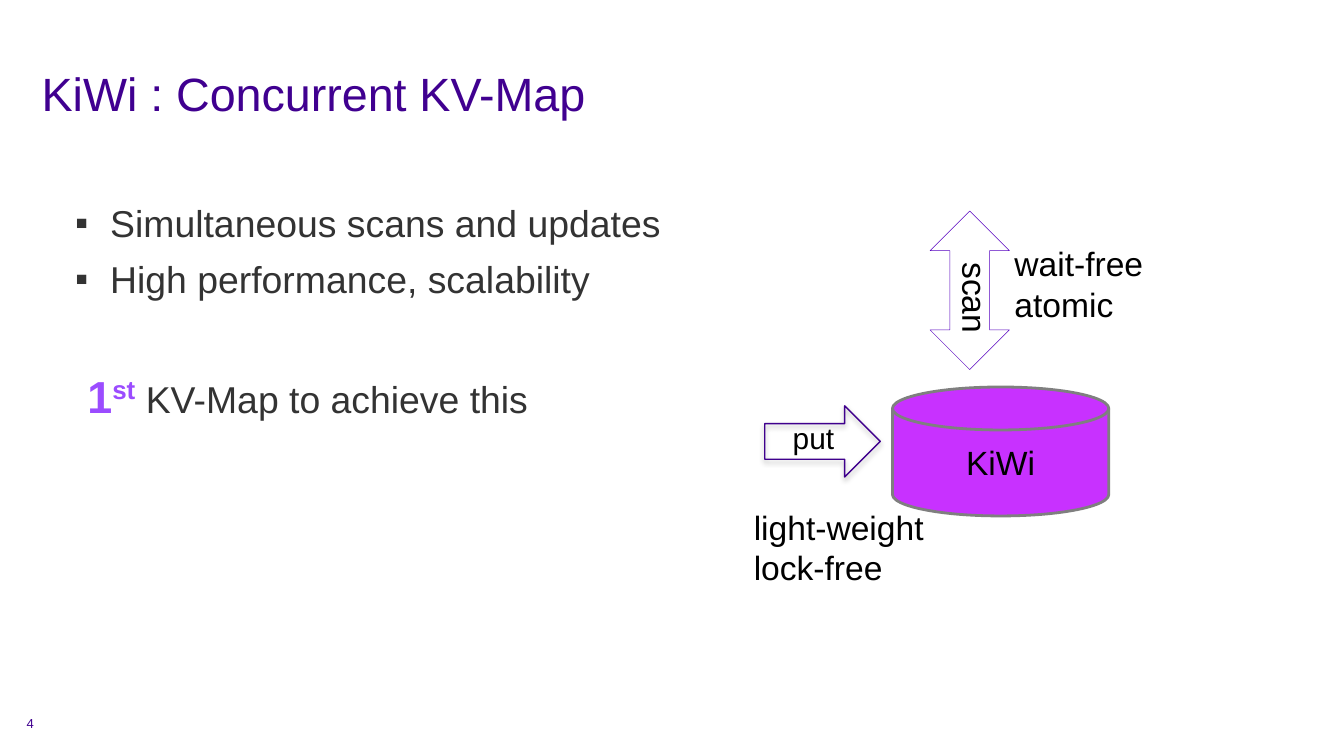
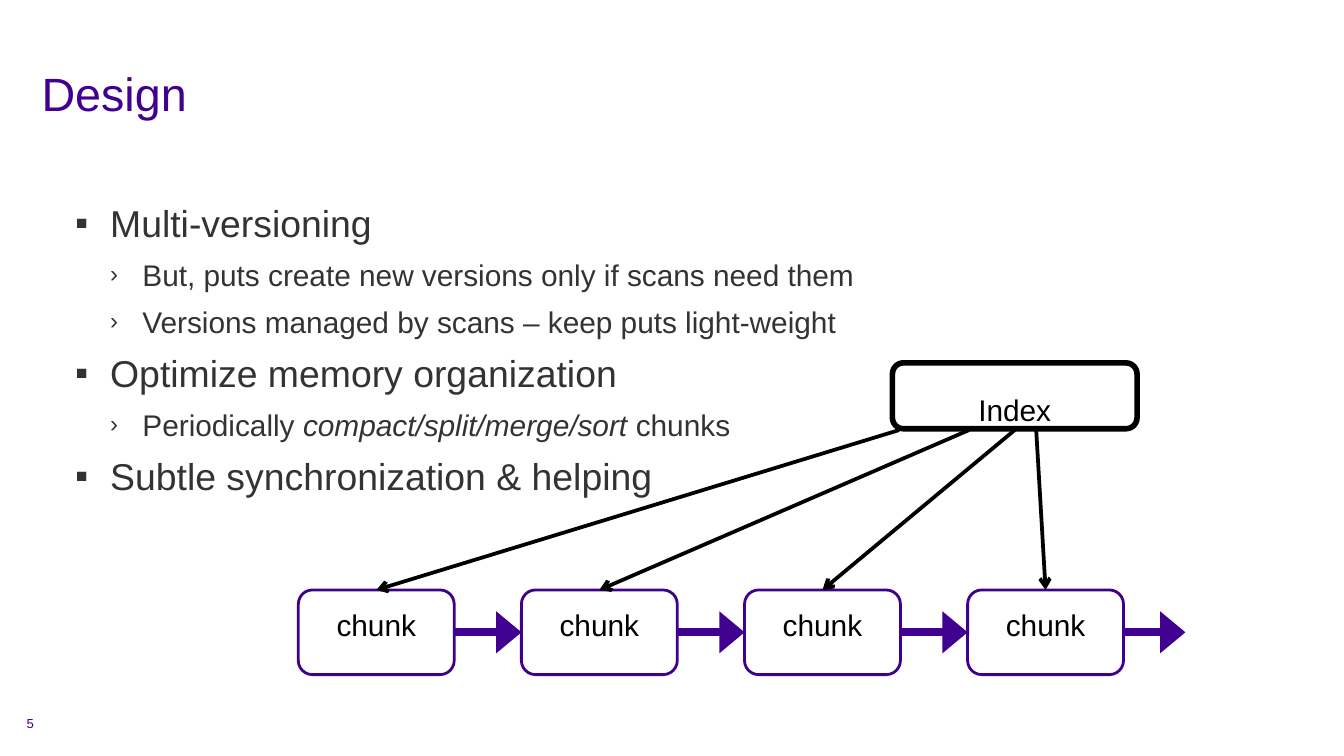
from lxml.etree import SubElement
from pptx import Presentation
from pptx.dml.color import RGBColor
from pptx.enum.shapes import MSO_CONNECTOR, MSO_SHAPE
from pptx.enum.text import MSO_ANCHOR, PP_ALIGN
from pptx.oxml.ns import qn
from pptx.util import Inches, Pt

COLORS = {
    "title": "400090", "body": "333333", "black": "000000", "accent": "9B4CFF",
    "store": "C831FF", "store_line": "7F7F7F", "outline": "3F008D", "scan": "5600BF",
}
FONT = "Arial"
PADDING = (0.1, 0.05, 0.1, 0.05)
# Bullet levels: character, text size, left margin, hanging indent, bullet size
LEVELS = [("▪", 20, 0.26, 0.26, 100), ("›", 16, 0.5, 0.24, 80)]
SLIDE_WIDTH = 10
SLIDE_HEIGHT = SLIDE_WIDTH * 9 / 16
TITLE_BOX = (0.31, 0.48, 9.32, 0.89)
NUMBER_BOX = (0.04, 5.23, 0.37, 0.3)


def rgb(name):
    return RGBColor.from_string(COLORS[name])


def apply(target, formats):
    for name, value in formats.items():
        setattr(target, name, value)


def add_run(paragraph, text, size, color="black", **formats):
    run = paragraph.add_run()
    run.text = text
    apply(run.font, {"name": FONT, "size": Pt(size), **formats})
    run.font.color.rgb = rgb(color)
    return run


def set_frame(frame, insets=PADDING, anchor=MSO_ANCHOR.TOP, wrap=True):
    sides = ("margin_left", "margin_top", "margin_right", "margin_bottom")
    apply(frame, {side: Inches(inset) for side, inset in zip(sides, insets)})
    apply(frame, {"word_wrap": wrap, "vertical_anchor": anchor})


def write_lines(frame, lines, size, color="black", align=PP_ALIGN.LEFT):
    for index, line in enumerate(lines):
        paragraph = frame.paragraphs[0] if index == 0 else frame.add_paragraph()
        paragraph.alignment = align
        add_run(paragraph, line, size, color)


def add_text(slide, box, lines, size, color="black", align=PP_ALIGN.LEFT, **frame_formats):
    textbox = slide.shapes.add_textbox(*map(Inches, box))
    set_frame(textbox.text_frame, **frame_formats)
    write_lines(textbox.text_frame, lines, size, color, align)
    return textbox


def add_outline(slide, kind, box, line, width, fill=None):
    shape = slide.shapes.add_shape(kind, *map(Inches, box))
    shape.shadow.inherit = False
    if fill:
        shape.fill.solid()
        shape.fill.fore_color.rgb = rgb(fill)
    else:
        shape.fill.background()
    shape.line.color.rgb = rgb(line)
    shape.line.width = Pt(width)
    return shape


def add_label(shape, text, size, insets):
    set_frame(shape.text_frame, insets, MSO_ANCHOR.MIDDLE)
    write_lines(shape.text_frame, [text], size, align=PP_ALIGN.CENTER)


def add_soft_shadow(shape):
    effects = shape._element.spPr.find(qn("a:effectLst"))
    shadow = SubElement(effects, qn("a:outerShdw"), blurRad=str(Pt(3.1)),
                        dist=str(Pt(1.8)), dir="5400000", rotWithShape="0")
    color = SubElement(shadow, qn("a:srgbClr"), val=COLORS["black"])
    SubElement(color, qn("a:alpha"), val="35000")


def add_arrow(slide, start, end, color, width, head, head_width="med"):
    points = map(Inches, (*start, *end))
    arrow = slide.shapes.add_connector(MSO_CONNECTOR.STRAIGHT, *points)
    arrow.line.color.rgb = rgb(color)
    arrow.line.width = Pt(width)
    SubElement(arrow.line._get_or_add_ln(), qn("a:tailEnd"), type=head, w=head_width)
    SubElement(arrow._element.spPr, qn("a:effectLst"))
    return arrow


def add_base_slide(presentation, title, number):
    slide = presentation.slides.add_slide(presentation.slide_layouts[6])
    add_text(slide, TITLE_BOX, [title], 25, "title", insets=(0, 0, 0, 0))
    add_text(slide, NUMBER_BOX, [str(number)], 7, "title", PP_ALIGN.CENTER,
             anchor=MSO_ANCHOR.MIDDLE)
    return slide


def add_bullets(slide, box, items):
    """Each item is (level, text parts); every second part is italic."""
    textbox = slide.shapes.add_textbox(*map(Inches, box))
    frame = textbox.text_frame
    set_frame(frame, (0, 0, 0, 0))
    for index, (level, parts) in enumerate(items):
        character, size, margin, hanging, bullet_size = LEVELS[level]
        paragraph = frame.paragraphs[0] if index == 0 else frame.add_paragraph()
        apply(paragraph, {"level": level, "space_after": Pt(6)})
        properties = paragraph._p.get_or_add_pPr()
        properties.set("marL", str(Inches(margin)))
        properties.set("indent", str(-Inches(hanging)))
        SubElement(properties, qn("a:buSzPct"), val=str(bullet_size * 1000))
        SubElement(properties, qn("a:buFont"), typeface=FONT)
        SubElement(properties, qn("a:buChar"), char=character)
        for position, part in enumerate(parts):
            add_run(paragraph, part, size, "body", italic=position % 2 == 1)
    return frame


def add_claim(frame):
    paragraph = frame.add_paragraph()
    paragraph.space_before = Pt(30)
    paragraph._p.get_or_add_pPr().set("marL", str(Inches(0.09)))
    add_run(paragraph, "1", 24, "accent", bold=True)
    ordinal = add_run(paragraph, "st", 24, "accent", bold=True)
    ordinal._r.get_or_add_rPr().set("baseline", "30000")
    add_run(paragraph, " KV-Map to achieve this", 20, "body")


def add_map_diagram(slide, left, top):
    def at(x, y, width, height):
        return left + x, top + y, width, height

    # Store
    store = add_outline(slide, MSO_SHAPE.FLOWCHART_MAGNETIC_DISK,
                        at(1.13, 1.31, 1.61, 0.96), "store_line", 1.5, "store")
    add_label(store, "KiWi", 18, (0.1, 0.1, 0.1, 0.1))
    # Put arrow
    put_arrow = add_outline(slide, MSO_SHAPE.RIGHT_ARROW, at(0.18, 1.45, 0.86, 0.53),
                            "outline", 0.75)
    add_soft_shadow(put_arrow)
    add_text(slide, at(0.29, 1.5, 1, 1), ["put"], 16, wrap=False)
    # Scan arrow
    add_outline(slide, MSO_SHAPE.UP_DOWN_ARROW, at(1.41, 0, 0.59, 1.18), "scan", 0.25)
    scan = add_text(slide, at(0.5, 0.24, 2.19, 0.81), ["scan"], 18,
                    align=PP_ALIGN.CENTER, insets=(0.1, 0.1, 0.1, 0.1))
    scan.rotation = 90
    # Guarantees
    add_text(slide, at(1.94, 0.19, 1.24, 0.71), ["wait-free", "atomic"], 18, wrap=False)
    add_text(slide, at(0, 2.15, 1.55, 0.71), ["light-weight", "lock-free"], 18, wrap=False)


def add_chunk_diagram(slide, left, top):
    chunk_width, chunk_height, pitch, count = 1.16, 0.63, 1.66, 4
    chunk_top = top + 1.69
    link_y = chunk_top + chunk_height / 2
    # Index
    index_box = add_outline(slide, MSO_SHAPE.ROUNDED_RECTANGLE,
                            (left + 4.42, top, 1.82, 0.49), "black", 3)
    add_label(index_box, "Index", 16, (0.22, 0.2, 0.22, 0))
    # Chunks
    chunk_lefts = [left + pitch * position for position in range(count)]
    chunks = []
    for chunk_left in chunk_lefts:
        chunk = add_outline(slide, MSO_SHAPE.ROUNDED_RECTANGLE,
                            (chunk_left, chunk_top, chunk_width, chunk_height), "outline", 1.5)
        add_label(chunk, "chunk", 16, (0.22, 0, 0.22, 0.11))
        chunks.append(chunk)
    # Links from each chunk to the next, the last one open
    for position, chunk in enumerate(chunks):
        start = chunk_lefts[position] + chunk_width
        link = add_arrow(slide, (start, link_y), (start + 0.46, link_y),
                         "title", 4.5, "triangle", "lg")
        link.begin_connect(chunk, 3)
        if position + 1 < count:
            link.end_connect(chunks[position + 1], 1)
    # Pointers from the index
    for chunk, chunk_left, start in zip(chunks, chunk_lefts, (4.47, 4.99, 5.33, 5.49)):
        pointer = add_arrow(slide, (left + start, top + 0.5),
                            (chunk_left + chunk_width / 2, chunk_top), "black", 2, "arrow")
        pointer.end_connect(chunk, 0)


def build_map_slide(presentation):
    slide = add_base_slide(presentation, "KiWi : Concurrent KV-Map", 4)
    frame = add_bullets(slide, (0.56, 1.49, 9.08, 3.55), [
        (0, ["Simultaneous scans and updates"]),
        (0, ["High performance, scalability"]),
    ])
    add_claim(frame)
    add_map_diagram(slide, 5.51, 1.57)


def build_design_slide(presentation):
    slide = add_base_slide(presentation, "Design", 5)
    add_bullets(slide, (0.56, 1.49, 9.08, 2.15), [
        (0, ["Multi-versioning"]),
        (1, ["But, puts create new versions only if scans need them"]),
        (1, ["Versions managed by scans – keep puts light-weight"]),
        (0, ["Optimize memory organization"]),
        (1, ["Periodically ", "compact/split/merge/sort ", "chunks"]),
        (0, ["Subtle synchronization & helping"]),
    ])
    add_chunk_diagram(slide, 2.22, 2.7)


def main():
    presentation = Presentation()
    apply(presentation, {"slide_width": Inches(SLIDE_WIDTH),
                         "slide_height": Inches(SLIDE_HEIGHT)})
    build_map_slide(presentation)
    build_design_slide(presentation)
    presentation.save("out.pptx")


if __name__ == "__main__":
    main()
